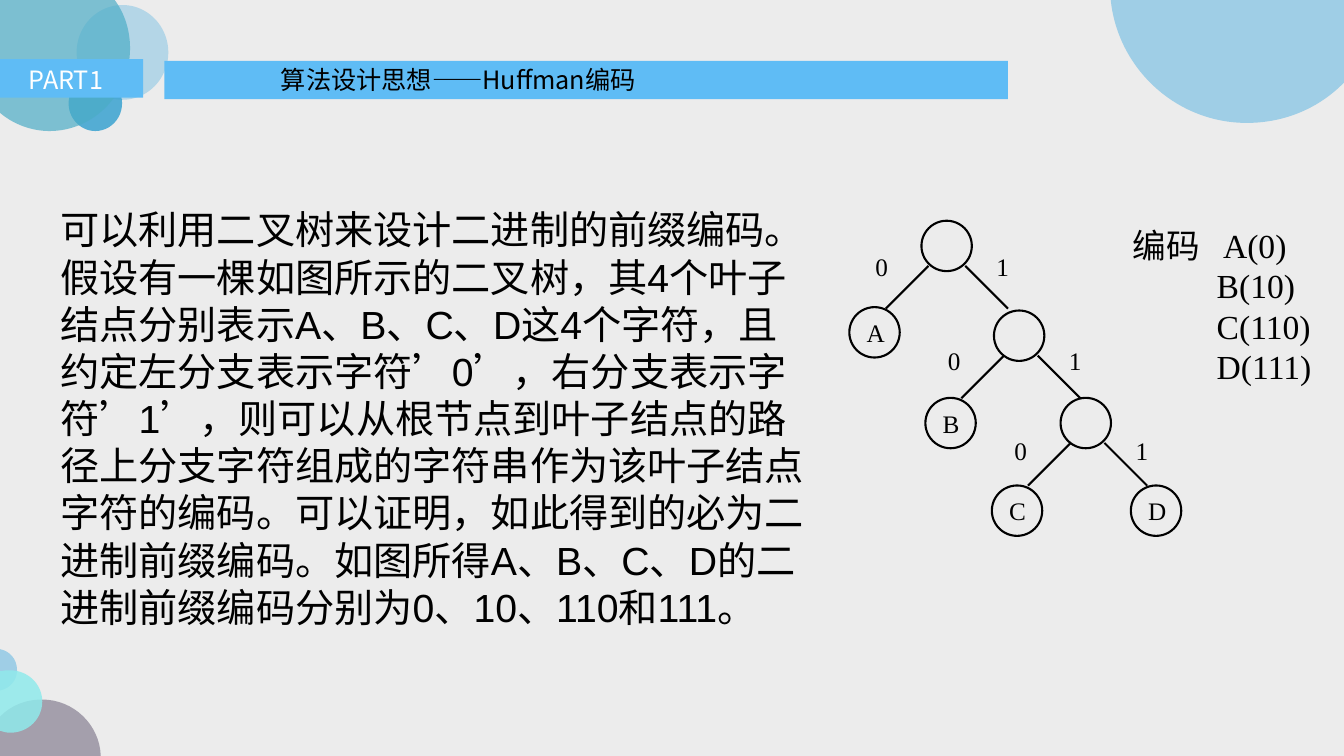
from lxml import etree
from pptx import Presentation
from pptx.dml.color import RGBColor
from pptx.enum.shapes import MSO_CONNECTOR, MSO_SHAPE
from pptx.enum.text import MSO_ANCHOR, PP_ALIGN
from pptx.oxml.ns import qn
from pptx.util import Pt

OVAL, RECTANGLE = MSO_SHAPE.OVAL, MSO_SHAPE.RECTANGLE
STRAIGHT = MSO_CONNECTOR.STRAIGHT
TOP, MIDDLE = MSO_ANCHOR.TOP, MSO_ANCHOR.MIDDLE
LEFT, CENTER = PP_ALIGN.LEFT, PP_ALIGN.CENTER

GREY = RGBColor(0xEC, 0xEC, 0xEC)
BLACK = RGBColor(0, 0, 0)
WHITE = RGBColor(255, 255, 255)
BAR_BLUE = RGBColor(0x5F, 0xBC, 0xF5)
PALE_BLUE = RGBColor(0x9F, 0xCE, 0xE6)
DEEP_BLUE = RGBColor(0x3A, 0xA3, 0xD0)
TEAL = RGBColor(0x4B, 0xAC, 0xC6)
PURPLE = RGBColor(0x3F, 0x31, 0x51)
MINT = RGBColor(0x90, 0xEA, 0xEB)

SANS, BODY, SERIF = "Noto Sans CJK SC", "Arial", "Times New Roman"
WIDTH, HEIGHT = 960, 540
NODE = 36
BRANCH = 30.5

EXPLANATION = (
    "可以利用二叉树来设计二进制的前缀编码。假设有一棵如图所示的二叉树，"
    "其4个叶子结点分别表示A、B、C、D这4个字符，且约定左分支表示字符’0’，"
    "右分支表示字符’1’，则可以从根节点到叶子结点的路径上分支字符组成的字符串"
    "作为该叶子结点字符的编码。可以证明，如此得到的必为二进制前缀编码。"
    "如图所得A、B、C、D的二进制前缀编码分别为0、10、110和111。"
)
CUT_CIRCLES = [
    (TEAL, 69, (0, -0.7), [
        [(81.4, -0.7)],
        [(88.6, 8.6), (92.9, 20.9), (92.9, 34.6)],
        [(92.9, 67), (67, 93.6), (35.3, 93.6)],
        [(22.3, 93.6), (9.4, 88.6), (0, 80.6)],
    ]),
    (PALE_BLUE, 100, (793.4, 0), [
        [(960, 0)],
        [(960, 59)],
        [(942.5, 77), (918, 87.8), (890.6, 87.8)],
        [(840.2, 87.8), (798.5, 49), (793.4, 0)],
    ]),
    (PALE_BLUE, 100, (0, 463.7), [
        [(7.2, 465.1), (12.2, 470.9), (12.2, 478.8)],
        [(12.2, 486), (7.2, 491.8), (0, 493.2)],
    ]),
    (PURPLE, 41, (30.2, 499.7), [
        [(52.6, 499.7), (71.3, 517.7), (72, 540)],
        [(0, 540)],
        [(0, 511.9)],
        [(7.9, 504), (18, 499.7), (30.2, 499.7)],
    ]),
    (MINT, 85, (7.2, 478.8), [
        [(20.2, 478.8), (30.2, 488.9), (30.2, 501.1)],
        [(30.2, 513.4), (20.2, 523.4), (7.2, 523.4)],
        [(5, 523.4), (2.2, 522.7), (0, 522)],
        [(0, 479.5)],
        [(2.2, 478.8), (5, 478.8), (7.2, 478.8)],
    ]),
]
LEAVES = [("A", 606.7, 219.4), ("B", 661, 284.2), ("C", 708.5, 346.8), ("D", 807.8, 346.8)]
FORKS = [(658.2, 157.7, 175.7, 5), (710, 221.8, 242.8, 7.2), (757.6, 284.2, 307.4, 7.2)]
CODES = ["编码\tA(0)", "B(10)", "C(110)", "D(111)"]


def paint(shape, color, opacity=100):
    shape.shadow.inherit = False
    shape.line.fill.background()
    shape.fill.solid()
    shape.fill.fore_color.rgb = color
    if opacity < 100:
        tint = shape.fill._xPr.find(qn("a:solidFill"))[0]
        etree.SubElement(tint, qn("a:alpha")).set("val", str(opacity * 1000))


def add_block(slide, kind, left, top, width, height, color, opacity=100):
    block = slide.shapes.add_shape(kind, Pt(left), Pt(top), Pt(width), Pt(height))
    paint(block, color, opacity)


def add_cut_circle(slide, color, opacity, start, segments):
    builder = slide.shapes.build_freeform(Pt(start[0]), Pt(start[1]), scale=1.0)
    points = [(Pt(x), Pt(y)) for segment in segments for x, y in segment]
    builder.add_line_segments(points, close=True)
    circle = builder.convert_to_shape()
    steps = iter(list(circle.element.iter(qn("a:lnTo"))))
    for segment in segments:
        first, *others = [next(steps) for _ in segment]
        if others:
            first.tag = qn("a:cubicBezTo")
        for step in others:
            first.append(step[0])
            step.getparent().remove(step)
    paint(circle, color, opacity)


def set_font(run, font, size, color=BLACK):
    run.font.name = font
    run.font.size = Pt(size)
    run.font.color.rgb = color
    if font == SANS:
        etree.SubElement(run._r.get_or_add_rPr(), qn("a:ea")).set("typeface", SANS)


def write(frame, text, font, size, color=BLACK, align=LEFT, anchor=TOP):
    frame.word_wrap = True
    frame.vertical_anchor = anchor
    frame.text = text
    for paragraph in frame.paragraphs:
        paragraph.alignment = align
        for run in paragraph.runs:
            set_font(run, font, size, color)


def add_text(slide, text, left, top, width, height, font, size, color=BLACK):
    box = slide.shapes.add_textbox(Pt(left), Pt(top), Pt(width), Pt(height))
    write(box.text_frame, text, font, size, color)
    return box.text_frame


def place_title(slide, text):
    title = slide.shapes.title
    title.left, title.top, title.width, title.height = Pt(193.4), Pt(42.5), Pt(363), Pt(29)
    write(title.text_frame, text, SANS, 18)
    tree = title.element.getparent()
    tree.append(title.element)


def add_node(slide, left, top, letter=""):
    node = slide.shapes.add_shape(OVAL, Pt(left), Pt(top), Pt(NODE), Pt(NODE))
    node.shadow.inherit = False
    node.fill.background()
    node.line.color.rgb = BLACK
    node.line.width = Pt(1.5)
    if letter:
        write(node.text_frame, letter, SERIF, 18, align=CENTER, anchor=MIDDLE)


def add_branch(slide, x, y, direction):
    branch = slide.shapes.add_connector(
        STRAIGHT, Pt(x), Pt(y), Pt(x + direction * BRANCH), Pt(y + BRANCH)
    )
    branch.line.color.rgb = BLACK
    branch.line.width = Pt(1.5)
    etree.SubElement(branch._element.spPr, qn("a:effectLst"))


def add_fork(slide, left, top, label_top, left_start):
    add_node(slide, left, top)
    for bit, direction, start, label in (("0", -1, left_start, -40), ("1", 1, 31.3, 46.5)):
        add_branch(slide, left + start, top + 32.2, direction)
        add_text(slide, bit, left + label, label_top, 30, 39.6, SERIF, 18)


def set_indent(paragraph, margin, first_line=0):
    properties = paragraph._p.get_or_add_pPr()
    properties.set("marL", str(Pt(margin)))
    properties.set("indent", str(Pt(first_line)))


def add_codes(slide):
    frame = add_text(slide, "\n".join(CODES), 802, 157.4, 143.3, 123.8, SERIF, 24)
    heading, *others = frame.paragraphs
    set_indent(heading, 64.5, -64.5)
    for run in heading.runs:
        etree.SubElement(run._r.get_or_add_rPr(), qn("a:ea")).set("typeface", SANS)
    for paragraph in others:
        set_indent(paragraph, 60)
    for paragraph in frame.paragraphs:
        paragraph.line_spacing = Pt(28.7)


def add_explanation(slide):
    frame = add_text(slide, EXPLANATION, 15, 143.3, 572.4, 312.5, BODY, 28)
    paragraph = frame.paragraphs[0]
    set_indent(paragraph, 21)
    paragraph.line_spacing = Pt(33.7)


def main():
    deck = Presentation()
    deck.slide_width, deck.slide_height = Pt(WIDTH), Pt(HEIGHT)
    slide = deck.slides.add_slide(deck.slide_layouts[5])
    slide.background.fill.solid()
    slide.background.fill.fore_color.rgb = GREY

    add_block(slide, OVAL, 54.7, 3.6, 65.5, 67.7, PALE_BLUE, 72)
    add_block(slide, OVAL, 49, 54, 38.2, 39.6, DEEP_BLUE, 85)
    for circle in CUT_CIRCLES:
        add_cut_circle(slide, *circle)

    add_block(slide, RECTANGLE, 117.4, 43.4, 602.6, 27.4, BAR_BLUE)
    add_block(slide, RECTANGLE, 0, 42.3, 102.2, 27.4, BAR_BLUE)
    place_title(slide, "算法设计思想——Huffman编码")
    add_text(slide, "PART1", 13.3, 42.5, 75.6, 28.8, SANS, 18, WHITE)

    add_explanation(slide)
    for fork in FORKS:
        add_fork(slide, *fork)
    for letter, left, top in LEAVES:
        add_node(slide, left, top, letter)
    add_codes(slide)

    deck.save("out.pptx")


if __name__ == "__main__":
    main()
